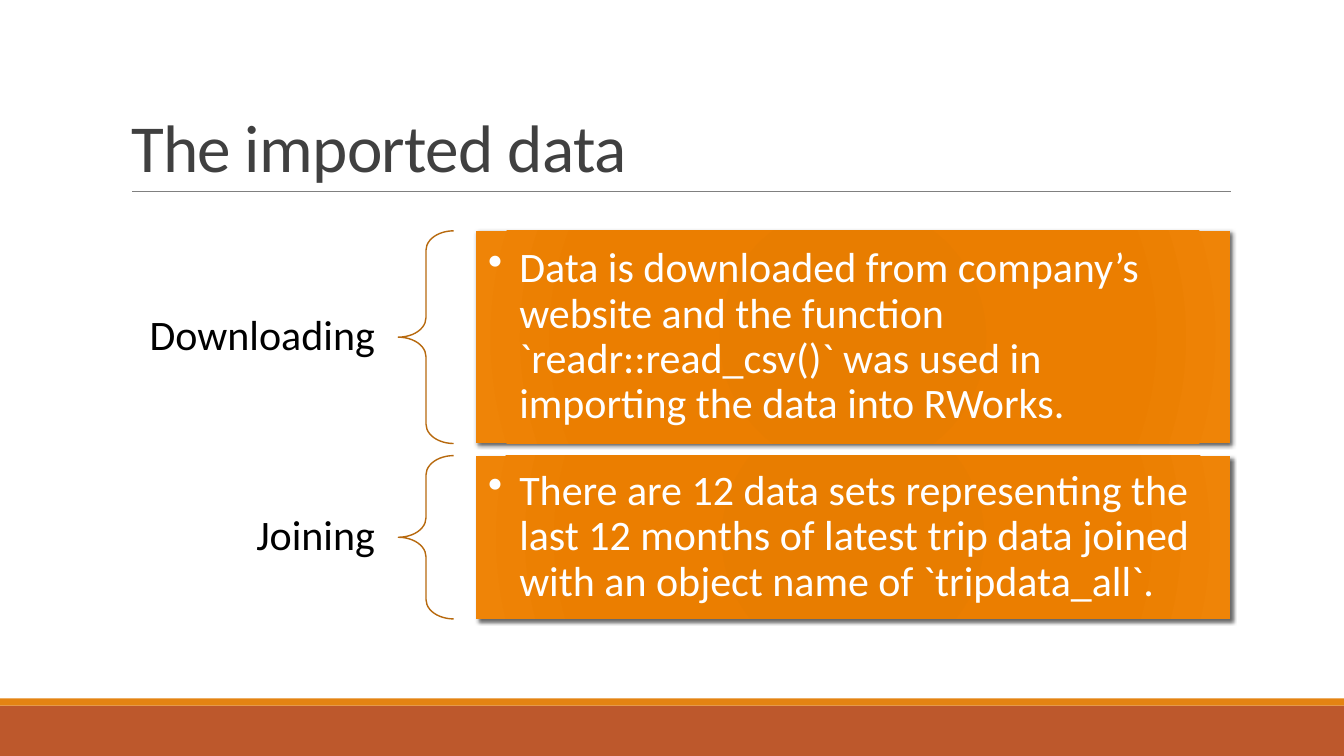
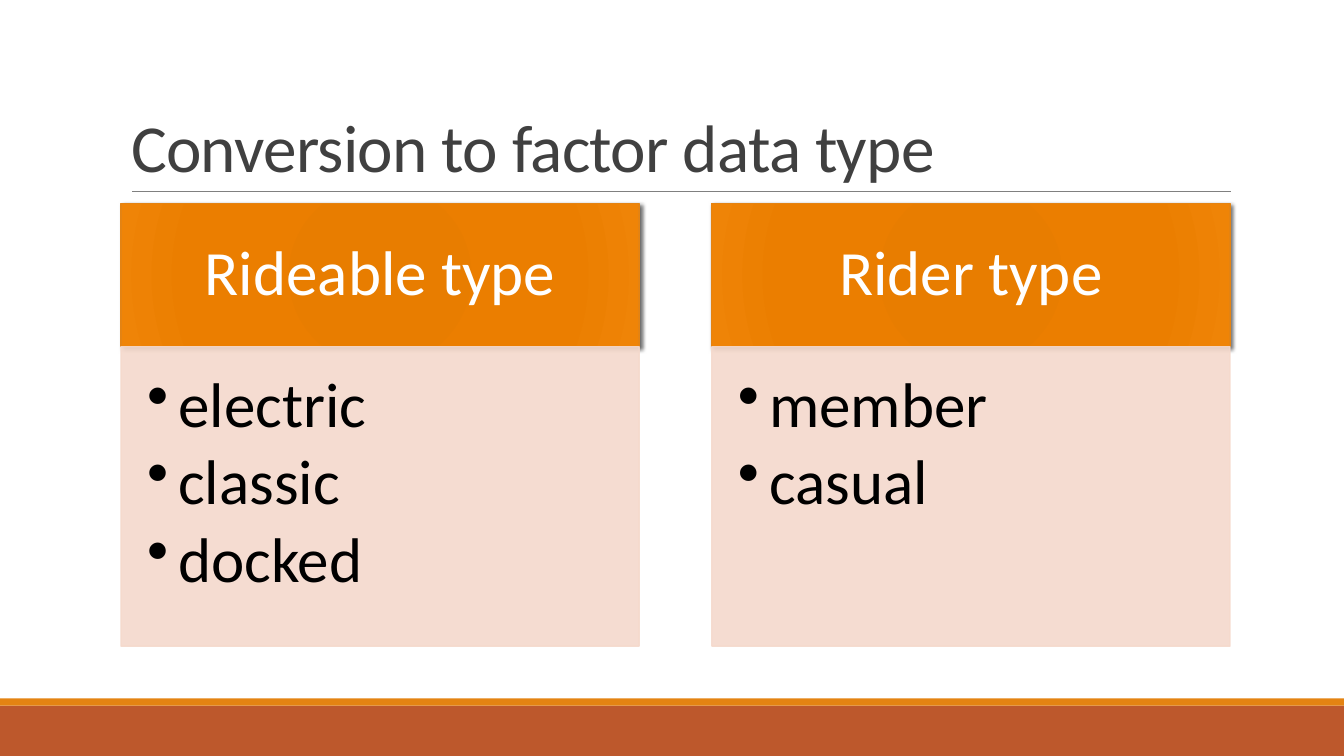
from pptx import Presentation
from pptx.dml.color import RGBColor as RGB
from pptx.enum.dml import MSO_THEME_COLOR as THEME
from pptx.enum.shapes import MSO_CONNECTOR as LINK, MSO_SHAPE as SHAPE
from pptx.enum.text import MSO_ANCHOR as ANCHOR, MSO_AUTO_SIZE as FIT, PP_ALIGN as ALIGN
from pptx.oxml import parse_xml
from pptx.oxml.ns import nsdecls, qn
from pptx.util import Inches, Pt
from lxml.etree import SubElement

RUST = RGB(0xBD, 0x58, 0x2C)
ORANGE = RGB(0xE4, 0x83, 0x12)
BROWN = RGB(0xB7, 0x69, 0x0E)
PINK = RGB(0xF5, 0xD9, 0xCC)
GRAY = RGB(0x80, 0x80, 0x80)
DARK = RGB(0x40, 0x40, 0x40)
BLACK = RGB(0, 0, 0)
WHITE = RGB(0xFF, 0xFF, 0xFF)
FONT = "Calibri"

# Content grid, in inches
WIDE, HIGH = 13.33, 7.5
LEFT, SPAN = 1.2, 11

GLOW = f"""<a:gradFill {nsdecls('a')} rotWithShape="1"><a:gsLst>
<a:gs pos="0"><a:srgbClr val="E57B00"/></a:gs>
<a:gs pos="34000"><a:srgbClr val="E87D00"/></a:gs>
<a:gs pos="70000"><a:srgbClr val="EB7E00"/></a:gs>
<a:gs pos="100000"><a:srgbClr val="EF8407"/></a:gs></a:gsLst>
<a:path path="circle"><a:fillToRect l="100000" t="100000" r="100000" b="100000"/></a:path>
</a:gradFill>"""
SHADE = f"""<a:outerShdw {nsdecls('a')} blurRad="38100" dist="25400" dir="2700000"
rotWithShape="0"><a:srgbClr val="000000"><a:alpha val="60000"/></a:srgbClr></a:outerShdw>"""


def add_box(slide, kind, x, y, w, h, fill=None, line=None):
    """Add a shape; fill is a colour, GLOW or None."""
    box = slide.shapes.add_shape(kind, Inches(x), Inches(y), Inches(w), Inches(h))
    props = box.element.spPr
    box.shadow.inherit = False
    if fill is None or fill == GLOW:
        box.fill.background()
    else:
        box.fill.solid()
        box.fill.fore_color.rgb = fill
    if line is None:
        box.line.fill.background()
    else:
        box.line.color.rgb = line
        box.line.width = Pt(1)
    if fill == GLOW:
        props.replace(props.find(qn("a:noFill")), parse_xml(GLOW))
        props.find(qn("a:effectLst")).append(parse_xml(SHADE))
    return box


def set_text(box, lines, size, color, pads, align=ALIGN.LEFT, anchor=ANCHOR.MIDDLE, dots=False):
    """Write one paragraph per line; pads are left, top, right, bottom."""
    frame = box.text_frame
    frame.word_wrap = True
    frame.auto_size = FIT.NONE
    frame.vertical_anchor = anchor
    (frame.margin_left, frame.margin_top,
     frame.margin_right, frame.margin_bottom) = map(Inches, pads)
    frame.text = "\n".join(lines)
    for para in frame.paragraphs:
        para.alignment = align
        para.line_spacing = 0.9
        para.font.name = FONT
        para.font.size = Pt(size)
        para.font.color.rgb = color
        if dots:
            para.space_after = Pt(size * 0.15)
            props = para._p.get_or_add_pPr()
            props.set("marL", str(Inches(0.31)))
            props.set("indent", str(-Inches(0.31)))
            mark = parse_xml(f'<a:buChar {nsdecls("a")} char="•"/>')
            props.find(qn("a:defRPr")).addprevious(mark)


deck = Presentation()
deck.slide_width, deck.slide_height = Inches(WIDE), Inches(HIGH)
layout = deck.slide_layouts[5]
for spot in list(layout.placeholders)[1:]:
    spot.element.getparent().remove(spot.element)

# Titles
slides = []
for name in ["The imported data", "Conversion to factor data type"]:
    slide = deck.slides.add_slide(layout)
    slides.append(slide)
    title = slide.shapes.title
    title.left, title.top = Inches(LEFT), Inches(0.31)
    title.width, title.height = Inches(SPAN), Inches(1.59)
    set_text(title, [name], 48, DARK, [0.1, 0.05, 0.1, 0.05], anchor=ANCHOR.BOTTOM)
    para = title.text_frame.paragraphs[0]
    para.line_spacing = 0.85
    para.font._element.set("spc", "-50")

# Bands and rule, moved to the shared layout
first, second = slides
bands = [add_box(first, SHAPE.RECTANGLE, 0, top, WIDE, high, fill)
         for top, high, fill in [(7, 0.5, RUST), (6.93, 0.07, ORANGE)]]
rule = first.shapes.add_connector(LINK.STRAIGHT, Inches(1.31), Inches(1.9),
                                  Inches(12.21), Inches(1.9))
rule.line.color.rgb = GRAY
rule.line.width = Pt(0.5)
SubElement(rule.element.spPr, qn("a:effectLst"))
for part in [*bands, rule]:
    layout.shapes.element.append(part.element)

# Slide 1: label, brace and box in each row
steps = [
    ("Downloading", 2.11, "Data is downloaded from company’s website and the function "
     "`readr::read_csv()` was used in importing the data into RWorks."),
    ("Joining", 1.62, "There are 12 data sets representing the last 12 months of latest "
     "trip data joined with an object name of `tripdata_all`."),
]
label_w, brace_w, gap_w, box_w = [SPAN * part for part in (0.25, 0.05, 0.02, 0.68)]
brace_x = LEFT + label_w
box_x = brace_x + brace_w + gap_w
top = 2.29
for name, high, note in steps:
    label = first.shapes.add_textbox(Inches(LEFT), Inches(top + (high - 0.65) / 2),
                                     Inches(label_w), Inches(0.65))
    set_text(label, [name], 30, BLACK, [0.23, 0.08, 0.23, 0.08], ALIGN.RIGHT)
    brace = add_box(first, SHAPE.LEFT_BRACE, brace_x, top, brace_w, high, line=BROWN)
    brace.adjustments[0] = 0.35
    box = add_box(first, SHAPE.RECTANGLE, box_x, top, box_w, high, GLOW)
    set_text(box, [note], 30, WHITE, [0.12] * 4, dots=True)
    top += high + 0.12

# Slide 2: two columns with a gap of 14% of a column
kinds = [
    ("Rideable type", ["electric", "classic", "docked"]),
    ("Rider type", ["member", "casual"]),
]
col_w = SPAN / 2.14
for col, (name, items) in enumerate(kinds):
    x = LEFT + col * col_w * 1.14
    head = add_box(second, SHAPE.RECTANGLE, x, 2.02, col_w, 1.42, GLOW, ORANGE)
    set_text(head, [name], 45, WHITE, [0.35, 0.2, 0.35, 0.2], ALIGN.CENTER)
    body = add_box(second, SHAPE.RECTANGLE, x, 3.44, col_w, 2.97, PINK, PINK)
    for tint in body.element.spPr.iter(qn("a:srgbClr")):
        SubElement(tint, qn("a:alpha"), val="90000")
    set_text(body, items, 45, BLACK, [0.26, 0.26, 0.35, 0.39], anchor=ANCHOR.TOP, dots=True)

deck.save("out.pptx")
